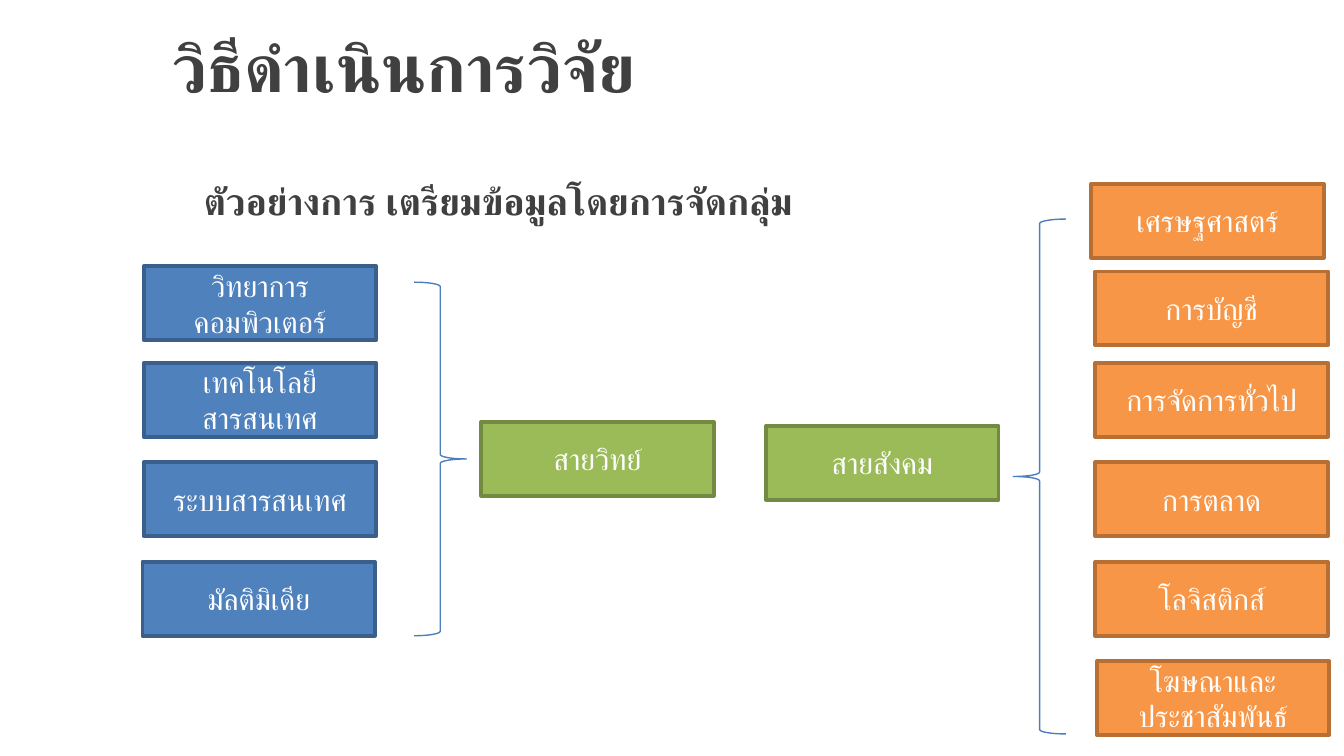
from lxml.etree import SubElement
from pptx import Presentation
from pptx.dml.color import RGBColor
from pptx.enum.shapes import MSO_SHAPE as Shape
from pptx.enum.text import MSO_ANCHOR as Anchor, PP_ALIGN as Align
from pptx.oxml.ns import qn
from pptx.util import Pt

FONT = "Lato"
BOX_WIDTH, BOX_HEIGHT = 124.6, 39.6
DARK, WHITE, BRACE = "404040", "FFFFFF", "4B7EBC"
BLUE = ("4F81BD", "3A5F8C")
GREEN = ("9BBB59", "738A42")
ORANGE = ("F79646", "B76F34")
SCIENCE = [
    ("วิทยาการคอมพิวเตอร์", 77, 142.6),
    ("เทคโนโลยีสารสนเทศ", 77, 194.4),
    ("ระบบสารสนเทศ", 77, 247.7),
    ("มัลติมิเดีย", 76.3, 301),
]
SOCIAL = [
    ("เศรษฐศาสตร์", 584.6, 98.6),
    ("การบัญชี", 586.8, 145.4),
    ("การจัดการทั่วไป", 586.8, 194.4),
    ("การตลาด", 586.8, 247.7),
    ("โลจิสติกส์", 586.8, 301),
    ("โฆษณาและประชาสัมพันธ์", 587.5, 354.2),
]


def colour(value):
    """Turn a hex string into a colour."""
    return RGBColor.from_string(value)


def write(shape, text, size=16, ink=WHITE, bold=False, align=Align.CENTER, before=0):
    """Put one formatted, vertically centred paragraph in a shape."""
    frame = shape.text_frame
    frame.word_wrap = True
    frame.vertical_anchor = Anchor.MIDDLE
    para = frame.paragraphs[0]
    para.alignment = align
    para.space_before = Pt(before)
    span = para.add_run()
    span.text = text
    font = span.font
    font.name, font.size, font.bold = FONT, Pt(size), bold
    font.color.rgb = colour(ink)
    for script in ("a:ea", "a:cs"):
        SubElement(span.font._element, qn(script)).set("typeface", FONT)


def add_shape(page, kind, box, line, weight, fill=None):
    """Draw a preset shape with an outline and an optional fill."""
    shape = page.shapes.add_shape(kind, *map(Pt, box))
    shape.shadow.inherit = False
    shape.line.color.rgb = colour(line)
    shape.line.width = Pt(weight)
    if fill:
        shape.fill.solid()
        shape.fill.fore_color.rgb = colour(fill)
    else:
        shape.fill.background()
    return shape


def add_heading(page, title_box, subtitle_box):
    """Place the slide title and the subtitle."""
    title = page.shapes.title
    title.left, title.top, title.width, title.height = map(Pt, title_box)
    write(title, " วิธีดำเนินการวิจัย", size=36, ink=DARK, bold=True, align=Align.LEFT)
    subtitle = page.shapes.add_textbox(*map(Pt, subtitle_box))
    write(subtitle, "ตัวอย่างการ เตรียมข้อมูลโดยการจัดกลุ่ม",
          size=20, ink=DARK, bold=True, align=Align.LEFT, before=4)


def add_label(page, text, left, top, palette):
    """Draw one labelled box."""
    fill, line = palette
    label = add_shape(page, Shape.RECTANGLE, (left, top, BOX_WIDTH, BOX_HEIGHT), line, 2, fill)
    write(label, text)


def add_group(page, members, palette, brace, brace_box, group):
    """Draw the member boxes, the brace joining them and their group box."""
    for text, left, top in members:
        add_label(page, text, left, top, palette)
    add_shape(page, brace, brace_box, BRACE, 0.75)
    add_label(page, *group, GREEN)


def main():
    """Build and save the deck."""
    deck = Presentation()
    deck.slide_width, deck.slide_height = Pt(720), Pt(405)
    page = deck.slides.add_slide(deck.slide_layouts[5])
    add_heading(page, (76.3, 0, 643.7, 69.8), (102.2, 89.3, 598.3, 36))
    add_group(page, SCIENCE, BLUE, Shape.RIGHT_BRACE,
              (221.8, 151.2, 28.1, 189.4), ("สายวิทย์", 257.8, 226.1))
    add_group(page, SOCIAL, ORANGE, Shape.LEFT_BRACE,
              (542.9, 117.4, 28.1, 275.8), ("สายสังคม", 410.4, 228.2))
    deck.save("out.pptx")


if __name__ == "__main__":
    main()
